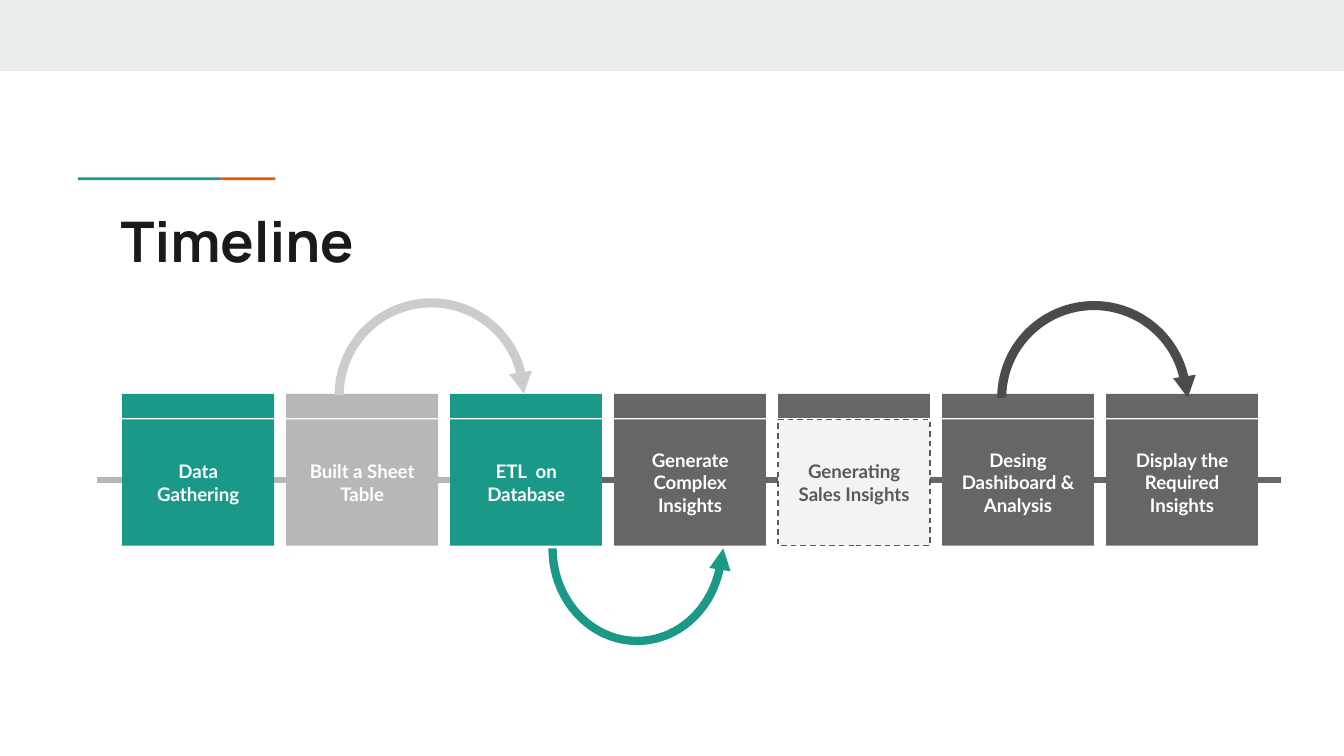
"""Builds the project timeline slide with seven step cards and three curved arrows."""
import pptx
import pptx.util
import pptx.dml.color
import pptx.enum.dml
import pptx.enum.shapes
import pptx.enum.text
import pptx.oxml
import pptx.oxml.ns

COLORS = {"band": "E9EDEE", "teal": "1A9988", "orange": "EB5600", "ink": "1A1A1A",
          "gray": "B7B7B7", "dark": "666666", "pale": "F3F3F3", "edge": "595959",
          "white": "FFFFFF", "light_arc": "CCCCCC", "dark_arc": "4B4B4B"}
W = 10
H = W * 9 / 16
CARD_X, CARD_STEP, CARD_W = 0.91, 1.22, 1.13
TAB_Y, TAB_H, CARD_Y, CARD_H = 2.93, 0.18, 3.12, 0.94
ARC_ADJ = (108, 211.457, 0.047)

TITLE = "Timeline"
STEPS = [("Data Gathering", "teal"), ("Built a Sheet Table", "gray"),
         ("ETL  on Database", "teal"), ("Generate Complex Insights", "dark"),
         ("Generating Sales Insights", "pale"), ("Desing Dashiboard & Analysis", "dark"),
         ("Display the Required Insights", "dark")]
BARS = [(0, 0, W, 0.53, "band"), (0.58, 1.32, 1.06, 0.02, "teal"),
        (1.64, 1.32, 0.41, 0.02, "orange")]
RAILS = [(4.45, 9.53, "dark"), (0.72, 4.24, "gray")]
ARROWS = [((2.49, 2.22, 1.44, 1.44), (3.8, 2.77, 0.17, 0.16), False, "light_arc"),
          ((4.08, 3.36, 1.32, 1.44), (5.29, 4.08, 0.16, 0.16), True, "teal"),
          ((7.42, 2.24, 1.44, 1.44), (8.74, 2.8, 0.17, 0.16), False, "dark_arc")]

SHAPE = pptx.enum.shapes.MSO_SHAPE
inch = pptx.util.Inches


def rgb(name):
    return pptx.dml.color.RGBColor.from_string(COLORS[name])


def add_shape(s, kind, box, color):
    sp = s.shapes.add_shape(kind, *map(inch, box))
    sp.shadow.inherit = False
    sp.fill.solid()
    sp.fill.fore_color.rgb = rgb(color)
    sp.line.fill.background()
    return sp


def set_text(sp, text, size, font, color):
    tf = sp.text_frame
    tf.word_wrap = True
    tf.margin_left = tf.margin_right = tf.margin_top = tf.margin_bottom = inch(0.1)
    tf.text = text
    r = tf.paragraphs[0].runs[0]
    r.font.size, r.font.name, r.font.bold = pptx.util.Pt(size), font, True
    r.font.color.rgb = rgb(color)
    return tf


def add_rail(s, x1, x2, color):
    line = s.shapes.add_connector(pptx.enum.shapes.MSO_CONNECTOR.STRAIGHT,
                                  inch(x1), inch(3.57), inch(x2), inch(3.57))
    line.line.color.rgb = rgb(color)
    line.line.width = pptx.util.Pt(3)
    line._element.spPr.append(pptx.oxml.parse_xml(
        "<a:effectLst %s/>" % pptx.oxml.ns.nsdecls("a")))


def add_card(s, i, text, color):
    x = CARD_X + i * CARD_STEP
    pale = color == "pale"
    sp = add_shape(s, SHAPE.RECTANGLE, (x, CARD_Y, CARD_W, CARD_H), color)
    if pale:
        sp.line.color.rgb = rgb("edge")
        sp.line.width = pptx.util.Pt(0.75)
        sp.line.dash_style = pptx.enum.dml.MSO_LINE.DASH
    tf = set_text(sp, text, 10, "Lato", "edge" if pale else "white")
    tf.vertical_anchor = pptx.enum.text.MSO_ANCHOR.MIDDLE
    tf.paragraphs[0].alignment = pptx.enum.text.PP_ALIGN.CENTER
    add_shape(s, SHAPE.RECTANGLE, (x, TAB_Y, CARD_W, TAB_H), "dark" if pale else color)


def add_arrow(s, arc_box, head_box, below, color):
    arc = add_shape(s, SHAPE.BLOCK_ARC, arc_box, color)
    for i, value in enumerate(ARC_ADJ):
        arc.adjustments[i] = value
    head = add_shape(s, SHAPE.ISOSCELES_TRIANGLE, head_box, color)
    head.rotation = 8.9 if below else 171.1
    if below:
        arc.rotation = 180
        for sp in (arc, head):
            sp._element.spPr.xfrm.set("flipH", "1")


def main():
    prs = pptx.Presentation()
    prs.slide_width, prs.slide_height = inch(W), inch(H)
    s = prs.slides.add_slide(prs.slide_layouts[6])
    for *box, color in BARS:
        add_shape(s, SHAPE.RECTANGLE, box, color)
    for rail in RAILS:
        add_rail(s, *rail)
    title = s.shapes.add_textbox(*map(inch, (0.8, 1.44, 8.41, 0.59)))
    set_text(title, TITLE, 30, "Manrope", "ink")
    for i, (text, color) in enumerate(STEPS):
        add_card(s, i, text, color)
    for arrow in ARROWS:
        add_arrow(s, *arrow)
    prs.save("out.pptx")


if __name__ == "__main__":
    main()
